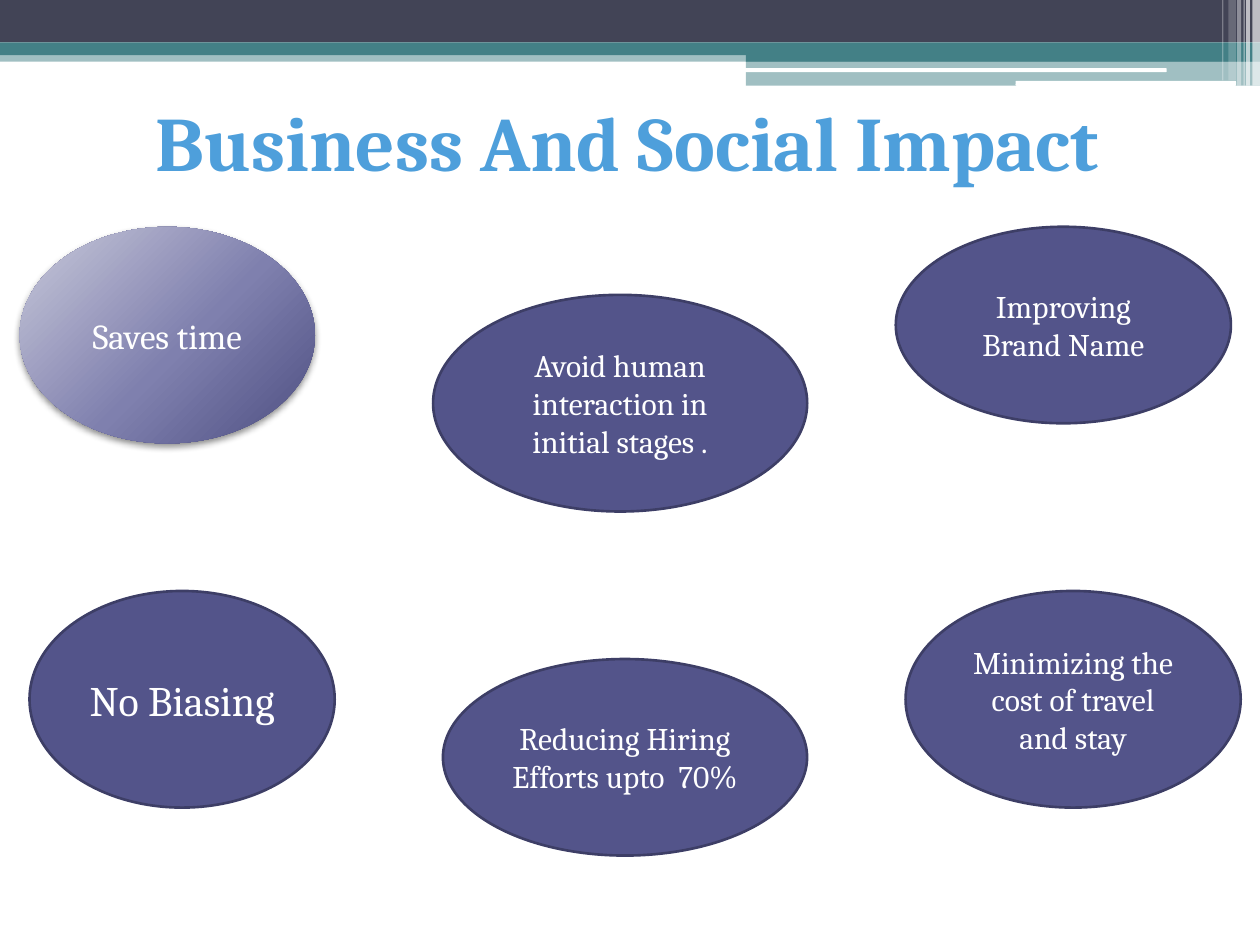
from dataclasses import dataclass
from typing import Optional

from lxml import etree
from pptx import Presentation
from pptx.dml.color import RGBColor
from pptx.enum import shapes, text
from pptx.oxml import ns
from pptx.util import Pt


@dataclass(frozen=True)
class Theme:
    font: str = "Cambria"
    slate: str = "424456"
    teal: str = "438086"
    white: str = "FFFFFF"
    purple: str = "53548A"
    outline: str = "3D3E66"
    title: str = "4E9FDB"
    glow: tuple = ((0, "C9C9DA"), (55, "7F80AE"), (100, "4D4E81"))
    title_size: float = 44
    large: float = 24
    medium: float = 20
    small: float = 18


@dataclass(frozen=True)
class Band:
    left: float
    top: float
    width: float
    height: float
    color: str
    opacity: int = 100
    rounded: bool = False


@dataclass(frozen=True)
class Impact:
    label: str
    row: int
    left: float
    width: float
    height: float
    size: float
    drop: float = 0
    glossy: bool = False


THEME = Theme()
SLIDE_WIDTH, SLIDE_HEIGHT = 720, 540
ROW_TOPS = (129.6, 337.7)
MIDDLE_DROP = 38.9
TALL, SHORT = 123.8, 112.3
CORNER_LEFT = 426.2
CORNER_WIDTH = SLIDE_WIDTH - CORNER_LEFT

BANDS = (
    Band(0, 28.8, SLIDE_WIDTH, 6.5, THEME.teal, 50),
    Band(0, 0, SLIDE_WIDTH, 24.3, THEME.slate),
    Band(0, 24.3, SLIDE_WIDTH, 7.2, THEME.teal),
    Band(CORNER_LEFT, 28.1, CORNER_WIDTH, 7.2, THEME.teal),
    Band(CORNER_LEFT, 34.8, CORNER_WIDTH, 14.1, THEME.teal, 50),
    Band(425.5, 39, 241.2, 2.2, THEME.white, rounded=True),
    Band(580.3, 46.2, 126, 2.8, THEME.white, rounded=True),
)

# Left, width, height and opacity of each vertical stripe
STRIPES = (
    (715.7, 4.3, 49, 65),
    (712.1, 2.2, 49, 65),
    (710.6, 0.7, 49, 60),
    (707, 2.2, 49, 40),
    (702, 4.3, 46, 20),
    (698.4, 0.7, 46, 30),
)

IMPACTS = (
    Impact("Saves time", 0, 11.2, 168.8, TALL, THEME.medium, glossy=True),
    Impact("Avoid human interaction in initial stages .", 0, 247.5, 213.8, TALL,
           THEME.small, MIDDLE_DROP),
    Impact("Improving Brand Name", 0, 511.9, 191.5, SHORT, THEME.small),
    Impact("No Biasing", 1, 16.9, 174.4, TALL, THEME.large),
    Impact("Reducing Hiring Efforts upto  70%", 1, 253.1, 208.1, SHORT,
           THEME.small, MIDDLE_DROP),
    Impact("Minimizing the cost of travel and stay", 1, 517.5, 191.5, TALL, THEME.small),
)


def add_child(parent, tag: str, **attributes):
    return etree.SubElement(parent, ns.qn(tag),
                            {key: str(value) for key, value in attributes.items()})


def draw_band(slide, band: Band) -> None:
    kind = (shapes.MSO_SHAPE.ROUNDED_RECTANGLE if band.rounded
            else shapes.MSO_SHAPE.RECTANGLE)
    bar = slide.shapes.add_shape(kind, Pt(band.left), Pt(band.top),
                                 Pt(band.width), Pt(band.height))
    bar.shadow.inherit = False
    bar.line.fill.background()
    bar.fill.solid()
    bar.fill.fore_color.rgb = RGBColor.from_string(band.color)
    if band.opacity < 100:
        color = bar.fill._xPr.find(ns.qn("a:solidFill"))[0]
        add_child(color, "a:alpha", val=band.opacity * 1000)


def add_gloss(oval) -> None:
    """Give the oval a radial gradient and a soft shadow below."""
    properties = oval._element.spPr
    gradient = etree.Element(ns.qn("a:gradFill"), rotWithShape="1")
    stops = add_child(gradient, "a:gsLst")
    for position, color in THEME.glow:
        stop = add_child(stops, "a:gs", pos=position * 1000)
        add_child(stop, "a:srgbClr", val=color)
    circle = add_child(gradient, "a:path", path="circle")
    add_child(circle, "a:fillToRect", l=-40000, t=-90000, r=140000, b=190000)
    solid = properties.find(ns.qn("a:solidFill"))
    properties.replace(solid, gradient)

    effects = properties.find(ns.qn("a:effectLst"))
    shadow = add_child(effects, "a:outerShdw", blurRad=int(Pt(4)), dist=int(Pt(2)),
                       dir=5400000, rotWithShape=0)
    add_child(add_child(shadow, "a:srgbClr", val="000000"), "a:alpha", val=45000)


def write_run(frame, words: str, size: float, color: str,
              bold: Optional[bool] = None) -> None:
    paragraph = frame.paragraphs[0]
    paragraph.alignment = text.PP_ALIGN.CENTER
    run = paragraph.add_run()
    run.text = words
    run.font.name = THEME.font
    run.font.size = Pt(size)
    run.font.bold = bold
    run.font.color.rgb = RGBColor.from_string(color)


def draw_impact(slide, impact: Impact) -> None:
    oval = slide.shapes.add_shape(
        shapes.MSO_SHAPE.OVAL, Pt(impact.left), Pt(ROW_TOPS[impact.row] + impact.drop),
        Pt(impact.width), Pt(impact.height))
    oval.shadow.inherit = False
    oval.fill.solid()
    oval.fill.fore_color.rgb = RGBColor.from_string(THEME.purple)
    if impact.glossy:
        oval.line.fill.background()
        add_gloss(oval)
    else:
        oval.line.color.rgb = RGBColor.from_string(THEME.outline)
        oval.line.width = Pt(1.5)
    frame = oval.text_frame
    frame.word_wrap = True
    frame.vertical_anchor = text.MSO_ANCHOR.MIDDLE
    write_run(frame, impact.label, impact.size, THEME.white)


def draw_title(slide, words: str) -> None:
    title = slide.shapes.title
    title.left, title.top = Pt(11.5), Pt(50.4)
    title.width, title.height = Pt(694), Pt(60.5)
    frame = title.text_frame
    frame.word_wrap = True
    frame.auto_size = text.MSO_AUTO_SIZE.NONE
    frame.vertical_anchor = text.MSO_ANCHOR.TOP
    write_run(frame, words, THEME.title_size, THEME.title, bold=True)


def main() -> None:
    deck = Presentation()
    deck.slide_width, deck.slide_height = Pt(SLIDE_WIDTH), Pt(SLIDE_HEIGHT)
    slide = deck.slides.add_slide(deck.slide_layouts[5])

    # Header decoration
    for band in BANDS:
        draw_band(slide, band)
    for left, width, height, opacity in STRIPES:
        draw_band(slide, Band(left, 0, width, height, THEME.white, opacity))

    # Heading and the six impacts
    draw_title(slide, "Business And Social Impact")
    for impact in IMPACTS:
        draw_impact(slide, impact)

    deck.save("out.pptx")


if __name__ == "__main__":
    main()
